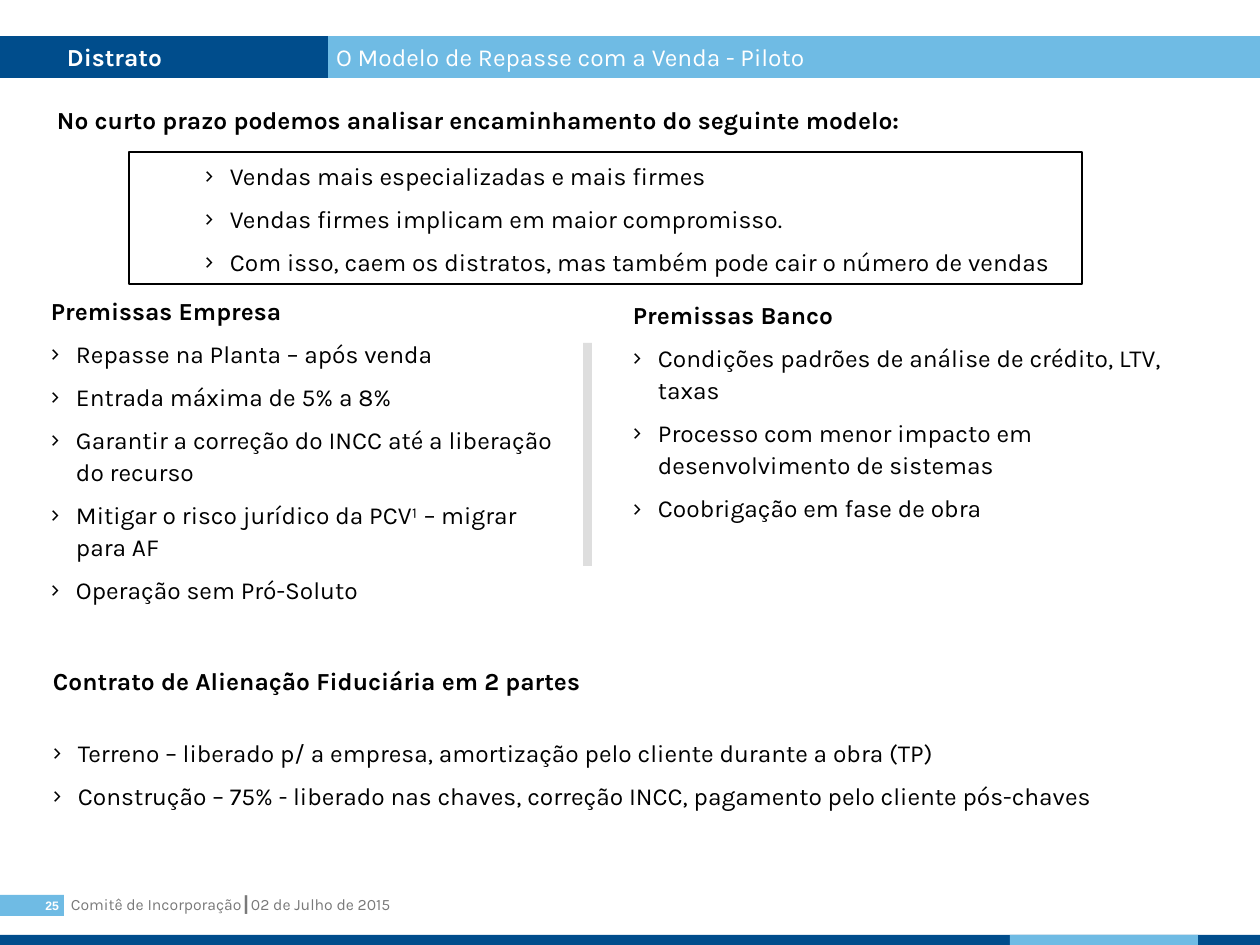
import pptx
import pptx.util
import pptx.dml.color
import pptx.enum.shapes
import pptx.enum.text
import pptx.oxml
import pptx.oxml.ns

RGB = pptx.dml.color.RGBColor
NAVY = RGB(0x00, 0x4D, 0x8C)
SKY = RGB(0x6F, 0xBB, 0xE4)
WHITE = RGB(0xFF, 0xFF, 0xFF)
BLACK = RGB(0, 0, 0)
GREY = RGB(0x79, 0x79, 0x79)
PALE = RGB(0xDE, 0xDE, 0xDE)
PX = 914400 / 126
PP_ALIGN = pptx.enum.text.PP_ALIGN
ANCHOR = pptx.enum.text.MSO_ANCHOR
RECT = pptx.enum.shapes.MSO_SHAPE.RECTANGLE
NSDECL = pptx.oxml.ns.nsdecls("a")


def set_frame(sp, box, insets, anchor=ANCHOR.TOP):
    """Place a shape and set its text margins and anchor, in pixels."""
    sp.left, sp.top, sp.width, sp.height = [round(v * PX) for v in box]
    tf = sp.text_frame
    tf.auto_size = pptx.enum.text.MSO_AUTO_SIZE.NONE
    tf.word_wrap = True
    tf.vertical_anchor = anchor
    (tf.margin_left, tf.margin_top,
     tf.margin_right, tf.margin_bottom) = [round(v * PX) for v in insets]
    return tf


def add_line(tf, text, size=14, color=BLACK, bold=False, font="Karla",
             margin=0, bullet=False, before=0, spacing=1.0):
    """Write one formatted paragraph, with or without a bullet."""
    p = tf.paragraphs[0]
    if p.runs:
        p = tf.add_paragraph()
    p.text = text
    p.alignment = PP_ALIGN.LEFT
    p.line_spacing = spacing
    p.space_before = pptx.util.Pt(before)
    f = p.runs[0].font
    f.name, f.size, f.bold = font, pptx.util.Pt(size), bold
    f.color.rgb = color
    pPr = p._p.get_or_add_pPr()
    pPr.set("marL", str(round(margin * PX)))
    pPr.set("indent", str(round(-25 * PX) if bullet else 0))
    marks = ['<a:buNone %s/>']
    if bullet:
        marks = ['<a:buClr %s><a:srgbClr val="000000"/></a:buClr>',
                 '<a:buFont %s typeface="Karla"/>', '<a:buChar %s char="›"/>']
    for mark in marks:
        pPr.append(pptx.oxml.parse_xml(mark % NSDECL))
    return p


prs = pptx.Presentation()
prs.slide_width = pptx.util.Inches(10)
prs.slide_height = pptx.util.Inches(7.5)
s = prs.slides.add_slide(prs.slide_layouts[3])
title, company, bank = s.placeholders

# Header title
title.fill.solid()
title.fill.fore_color.rgb = SKY
tf = set_frame(title, (306, 36, 954, 42), (30, 6, 13, 6))
add_line(tf, "O Modelo de Repasse com a Venda - Piloto", color=WHITE)

# Bars: header tag, page number, bottom strip, column divider
bars = []
for box, color in [((0, 36, 328, 42), NAVY), ((0, 895, 64, 21), SKY),
                   ((0, 935, 1260, 10), NAVY), ((1010, 935, 188, 10), SKY),
                   ((583, 343, 9, 223), PALE)]:
    sp = s.shapes.add_shape(RECT, *[round(v * PX) for v in box])
    sp.shadow.inherit = False
    sp.fill.solid()
    sp.fill.fore_color.rgb = color
    sp.line.fill.background()
    bars.append(sp)

tf = set_frame(bars[0], (0, 36, 328, 42), (5, 6, 5, 6))
add_line(tf, "Distrato", color=WHITE, bold=True, margin=62)
tf = set_frame(bars[1], (0, 895, 64, 21), (0, 0, 5, 0), ANCHOR.MIDDLE)
p = add_line(tf, "25", size=7, color=WHITE, bold=True, font="Arial")
p.alignment = PP_ALIGN.RIGHT

# Outlined box
frame = s.shapes.add_shape(RECT, 0, 0, 0, 0)
frame.shadow.inherit = False
frame.fill.background()
frame.line.color.rgb = BLACK
frame.line.width = pptx.util.Pt(1.5)

intro, contract, footer = [s.shapes.add_textbox(0, 0, 0, 0) for _ in range(3)]
tf = set_frame(intro, (44, 96, 1211, 45), (13, 6, 13, 6))
add_line(tf, "No curto prazo podemos analisar encaminhamento do seguinte modelo:",
         bold=True, before=6, spacing=1.1)
tf = set_frame(footer, (58, 889, 920, 32), (13, 6, 13, 6))
add_line(tf, "Comitê de Incorporação┃02 de Julho de 2015", size=9, color=GREY)

# Bulleted blocks: shape, box, insets, anchor, bullet margin, gap, heading, items
WIDE, TIGHT = (13, 6, 13, 6), (9, 5, 9, 5)
blocks = [
    (frame, (129, 152, 953, 132), WIDE, ANCHOR.TOP, 88, 6, None, [
        "Vendas mais especializadas e mais firmes",
        "Vendas firmes implicam em maior compromisso.",
        "Com isso, caem os distratos, mas também pode cair o número de vendas"]),
    (company, (42, 291, 527, 350), TIGHT, ANCHOR.TOP, 25, 6, "Premissas Empresa", [
        "Repasse na Planta – após venda",
        "Entrada máxima de 5% a 8%",
        "Garantir a correção do INCC até a liberação do recurso",
        "Mitigar o risco jurídico da PCV¹ – migrar para AF",
        "Operação sem Pró-Soluto"]),
    (bank, (620, 294, 566, 237), WIDE, ANCHOR.TOP, 25, 6, "Premissas Banco", [
        "Condições padrões de análise de crédito, LTV, taxas",
        "Processo com menor impacto em desenvolvimento de sistemas",
        "Coobrigação em fase de obra"]),
    (contract, (44, 601, 1121, 214), TIGHT, ANCHOR.BOTTOM, 25, 22.5,
     "Contrato de Alienação Fiduciária em 2 partes", [
         "Terreno – liberado p/ a empresa, amortização pelo cliente durante a obra (TP)",
         "Construção – 75% - liberado nas chaves, correção INCC, "
         "pagamento pelo cliente pós-chaves"]),
]
for sp, box, insets, anchor, margin, gap, heading, items in blocks:
    tf = set_frame(sp, box, insets, anchor)
    if heading:
        add_line(tf, heading, bold=True)
    for i, item in enumerate(items):
        add_line(tf, item, margin=margin, bullet=True, spacing=1.1,
                 before=6 if i else gap)

prs.save("out.pptx")
